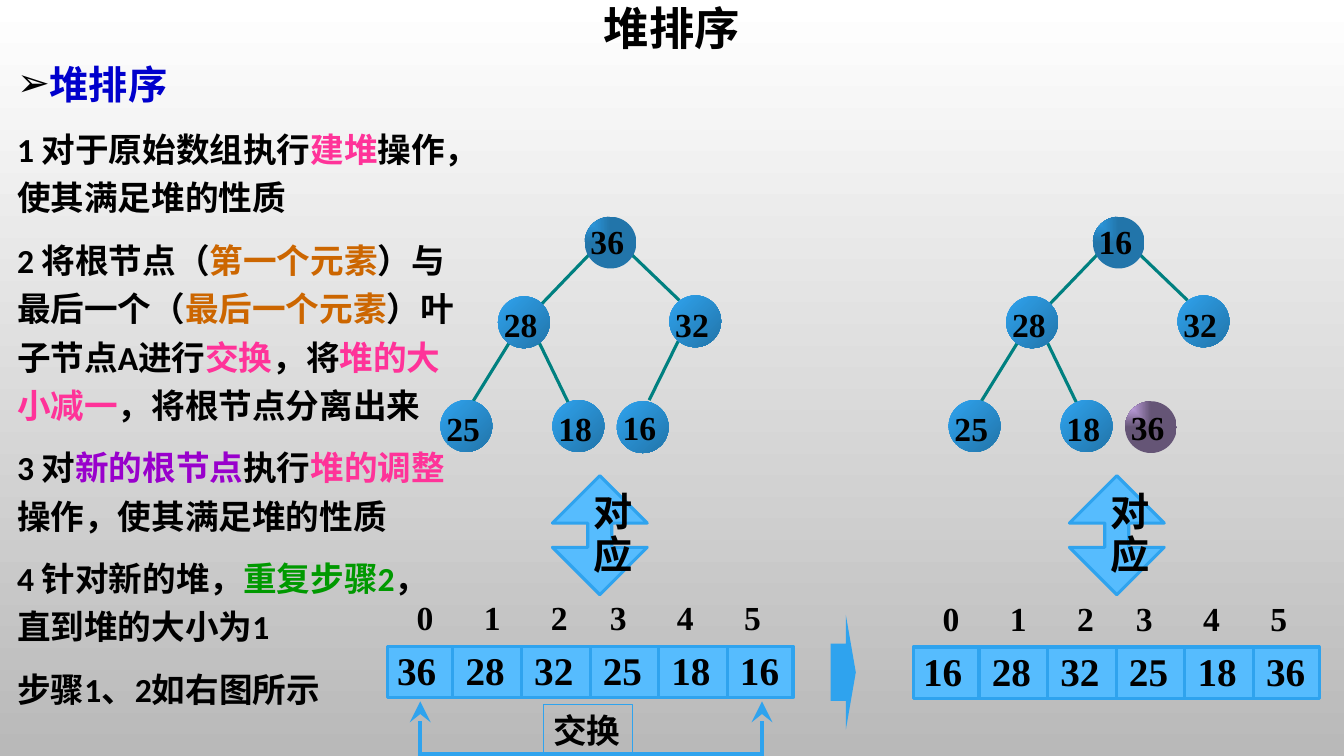
from lxml.etree import SubElement
from pptx import Presentation
from pptx.dml.color import RGBColor
from pptx.enum.shapes import MSO_CONNECTOR, MSO_SHAPE
from pptx.enum.text import MSO_ANCHOR, MSO_AUTO_SIZE, PP_ALIGN
from pptx.oxml.ns import qn
from pptx.util import Pt

OVAL, RECTANGLE = MSO_SHAPE.OVAL, MSO_SHAPE.RECTANGLE
DOUBLE_ARROW, RIGHT_ARROW = MSO_SHAPE.UP_DOWN_ARROW, MSO_SHAPE.RIGHT_ARROW
STRAIGHT = MSO_CONNECTOR.STRAIGHT
TOP, MIDDLE = MSO_ANCHOR.TOP, MSO_ANCHOR.MIDDLE
LEFT, CENTER, JUSTIFY = PP_ALIGN.LEFT, PP_ALIGN.CENTER, PP_ALIGN.JUSTIFY
NO_AUTOFIT = MSO_AUTO_SIZE.NONE

BLACK, PINK, ORANGE = "000000", "FF3399", "CC6600"
BLUE, PURPLE, GREEN = "0000CC", "9900CC", "009900"
SKY, AZURE, TEAL = "56BCFE", "2FA3EE", "008080"
NODE_COLORS, DETACHED_COLORS = (AZURE, "2275AA"), ("DBB7FF", "655576")

STEPS = [
    [("1 对于原始数组执行", BLACK), ("建堆", PINK), ("操作，使其满足堆的性质", BLACK)],
    [("2 将根节点（", BLACK), ("第一个元素", ORANGE), ("）与最后一个（", BLACK),
     ("最后一个元素", ORANGE), ("）叶子节点A进行", BLACK), ("交换", PINK), ("，将", BLACK),
     ("堆的大小减一", PINK), ("，将根节点分离出来", BLACK)],
    [("3 对", BLACK), ("新的根节点", PURPLE), ("执行", BLACK), ("堆的调整", PINK),
     ("操作，使其满足堆的性质", BLACK)],
    [("4 针对新的堆，", BLACK), ("重复步骤2", GREEN), ("，直到堆的大小为1", BLACK)],
    [("步骤1、2如右图所示", BLACK)],
]

NODES = [(417.6, 154.8, 1), (355.7, 211.7, 3), (478.1, 211, 3.6),
         (314.6, 285.8, 3.6), (394.6, 285.8, 3.6), (440.6, 286.6, 1.5)]
EDGES = [(450, 180.7, 485.3, 214.6), (420.5, 182.2, 385.9, 218.2),
         (364.3, 244, 336.2, 289.4), (384.5, 243.4, 406.8, 289.4),
         (484.6, 243.4, 463.7, 285.8)]
VALUE_STOPS = [49 * step for step in range(1, 6)]
INDEX_STOPS = [48, 96, 138, 186, 234]


def color(value):
    """Turn a hex string into a colour."""
    return RGBColor.from_string(value)


def write(frame, paragraphs, size=24, font="Times New Roman", align=LEFT, anchor=TOP,
          insets=(7.2, 3.6, 7.2, 3.6), line_spacing=None, before=0, stops=()):
    """Fill a text frame with paragraphs given as lists of text and colour."""
    frame.word_wrap, frame.auto_size, frame.vertical_anchor = True, NO_AUTOFIT, anchor
    frame.margin_left, frame.margin_top, frame.margin_right, frame.margin_bottom = map(Pt, insets)
    for number, runs in enumerate(paragraphs):
        paragraph = frame.add_paragraph() if number else frame.paragraphs[0]
        paragraph.alignment, paragraph.space_before = align, Pt(before)
        if line_spacing:
            paragraph.line_spacing = line_spacing
        for text, shade in runs:
            run = paragraph.add_run()
            run.text = text
            run.font.size, run.font.name, run.font.bold = Pt(size), font, True
            run.font.color.rgb = color(shade)
        if stops:
            tabs = SubElement(paragraph._p.get_or_add_pPr(), qn("a:tabLst"))
            for stop in stops:
                SubElement(tabs, qn("a:tab"), pos=str(Pt(stop)), algn="l")


def set_gradient(fill, shades, angle):
    """Give a fill two colours at a clockwise angle."""
    fill.gradient()
    fill.gradient_angle = (360 - angle) % 360
    for stop, shade in zip(fill.gradient_stops, shades):
        stop.color.rgb = color(shade)


def set_bullet(paragraph, symbol=None):
    """Show a hanging bullet, or none, on a list paragraph."""
    properties = paragraph._p.get_or_add_pPr()
    indent = Pt(18) if symbol else 0
    properties.set("marL", str(indent))
    properties.set("indent", str(-indent))
    if symbol:
        SubElement(SubElement(properties, qn("a:buClr")), qn("a:srgbClr"), val=BLACK)
        SubElement(properties, qn("a:buChar"), char=symbol)
    else:
        SubElement(properties, qn("a:buNone"))


class HeapSlide:
    """Hold the slide and draw its kinds of element."""

    def __init__(self, presentation):
        """Add the slide with its shaded background."""
        self.slide = presentation.slides.add_slide(presentation.slide_layouts[1])
        self.shapes = self.slide.shapes
        set_gradient(self.slide.background.fill, ("FFFFFF", "B9B9B9"), 90)

    def place(self, shape, left, top, width, height):
        """Move a placeholder and return its text frame."""
        shape.left, shape.top, shape.width, shape.height = map(Pt, (left, top, width, height))
        return shape.text_frame

    def shape(self, kind, box, fill=None, line=None, weight=2.25, adjustments=()):
        """Draw a preset shape."""
        shape = self.shapes.add_shape(kind, *map(Pt, box))
        shape.shadow.inherit = False
        for number, value in enumerate(adjustments):
            shape.adjustments[number] = value
        if fill:
            shape.fill.solid()
            shape.fill.fore_color.rgb = color(fill)
        else:
            shape.fill.background()
        if line:
            shape.line.color.rgb, shape.line.width = color(line), Pt(weight)
        else:
            shape.line.fill.background()
        return shape

    def label(self, box, text, **style):
        """Add a text box."""
        write(self.shapes.add_textbox(*map(Pt, box)).text_frame, [[(text, BLACK)]], **style)

    def line(self, points, shade, weight=2.25, arrow=False):
        """Draw a straight line, with an arrowhead at its end if asked."""
        connector = self.shapes.add_connector(STRAIGHT, *map(Pt, points))
        connector.line.color.rgb, connector.line.width = color(shade), Pt(weight)
        properties = connector.element.spPr
        if arrow:
            SubElement(properties.find(qn("a:ln")), qn("a:tailEnd"), type="stealth", w="lg", len="lg")
        SubElement(properties, qn("a:effectLst"))

    def node(self, left, top, drop, text, shades, from_corner):
        """Draw a tree node with its number."""
        oval = self.shape(OVAL, (left, top, 37, 37))
        set_gradient(oval.fill, shades, 45)
        if from_corner:
            gradient = oval.element.spPr.find(qn("a:gradFill"))
            gradient.remove(gradient.find(qn("a:lin")))
            path = SubElement(gradient, qn("a:path"), path="rect")
            SubElement(path, qn("a:fillToRect"), r="100000", b="100000")
        self.label((left + 3.5, top + drop, 28, 40), text, insets=(0.7, 2.2, 0, 0.7))

    def tree(self, shift, values, detached=False):
        """Draw a heap, with its last node cut off if detached."""
        for x1, y1, x2, y2 in EDGES[:-1] if detached else EDGES:
            self.line((x1 + shift, y1, x2 + shift, y2), TEAL)
        last = len(values) - 1
        for number, ((left, top, drop), value) in enumerate(zip(NODES, values)):
            cut = detached and number == last
            self.node(left + shift, top, drop, value,
                      DETACHED_COLORS if cut else NODE_COLORS, cut or number == 0)

    def array(self, left, top, values):
        """Draw an array with its indices above."""
        bar = self.shape(RECTANGLE, (left, top, 290, 36.7), SKY, AZURE)
        write(bar.text_frame, [[("\t".join(values), BLACK)]], size=28, align=JUSTIFY,
              insets=(7.2, 0, 0, 0), stops=VALUE_STOPS)
        for number in range(len(values) - 1):
            x = left + 47 + 49 * number
            self.line((x, top + 0.5, x, top + 36), AZURE)
        indices = "\t".join(str(number) for number in range(len(values)))
        self.label((left + 14, top - 35.3, 271.4, 28.8), indices,
                   insets=(7.2, 0, 7.2, 0), stops=INDEX_STOPS)

    def match_arrow(self, left):
        """Draw the arrow that links a tree with its array."""
        arrow = self.shape(DOUBLE_ARROW, (left, 339.8, 67.7, 85), SKY, AZURE, adjustments=(0.5, 0.253))
        write(arrow.text_frame, [[("对", BLACK)], [("应", BLACK)]], size=28, anchor=MIDDLE,
              insets=(4.3, 3.6, 0, 3.6), line_spacing=0.9)

    def swap_mark(self):
        """Mark the exchange of the first and last cells."""
        for x in (300.2, 544.3):
            self.line((x, 540, x, 501), AZURE, 3, arrow=True)
        self.line((300.2, 538.6, 543.6, 538.6), AZURE)
        box = self.shape(RECTANGLE, (388.1, 503.3, 64, 36), line=AZURE, weight=0.5)
        write(box.text_frame, [[("交换", BLACK)]])


def main():
    """Build and save the heap sort slide."""
    presentation = Presentation()
    presentation.slide_width, presentation.slide_height = Pt(960), Pt(540)
    heap = HeapSlide(presentation)
    title = heap.place(heap.shapes.title, 72, 0, 816, 44.6)
    write(title, [[("堆排序", BLACK)]], size=32.4, font="Calibri", align=CENTER,
          anchor=MIDDLE, line_spacing=0.9)
    body = heap.place(heap.slide.placeholders[1], 5, 32.4, 329, 476.6)
    write(body, [[("堆排序", BLUE)]] + STEPS, font="Calibri", line_spacing=1.2, before=10)
    heading = body.paragraphs[0].runs[0].font
    heading.size, heading.name = Pt(28), "Times New Roman"
    for number, paragraph in enumerate(body.paragraphs):
        set_bullet(paragraph, None if number else "➢")

    heap.tree(0, ["36", "28", "32", "25", "18", "16"])
    heap.array(276.5, 461.5, ["36", "28", "32", "25", "18", "16"])
    heap.match_arrow(394.6)
    heap.swap_mark()
    heap.array(652.3, 462.2, ["16", "28", "32", "25", "18", "36"])
    heap.match_arrow(763.9)
    heap.tree(363, ["16", "28", "32", "25", "18", "36"], detached=True)
    heap.shape(RIGHT_ARROW, (593.3, 439.2, 18, 82), AZURE, adjustments=(0.5, 0.394))
    presentation.save("out.pptx")


if __name__ == "__main__":
    main()
